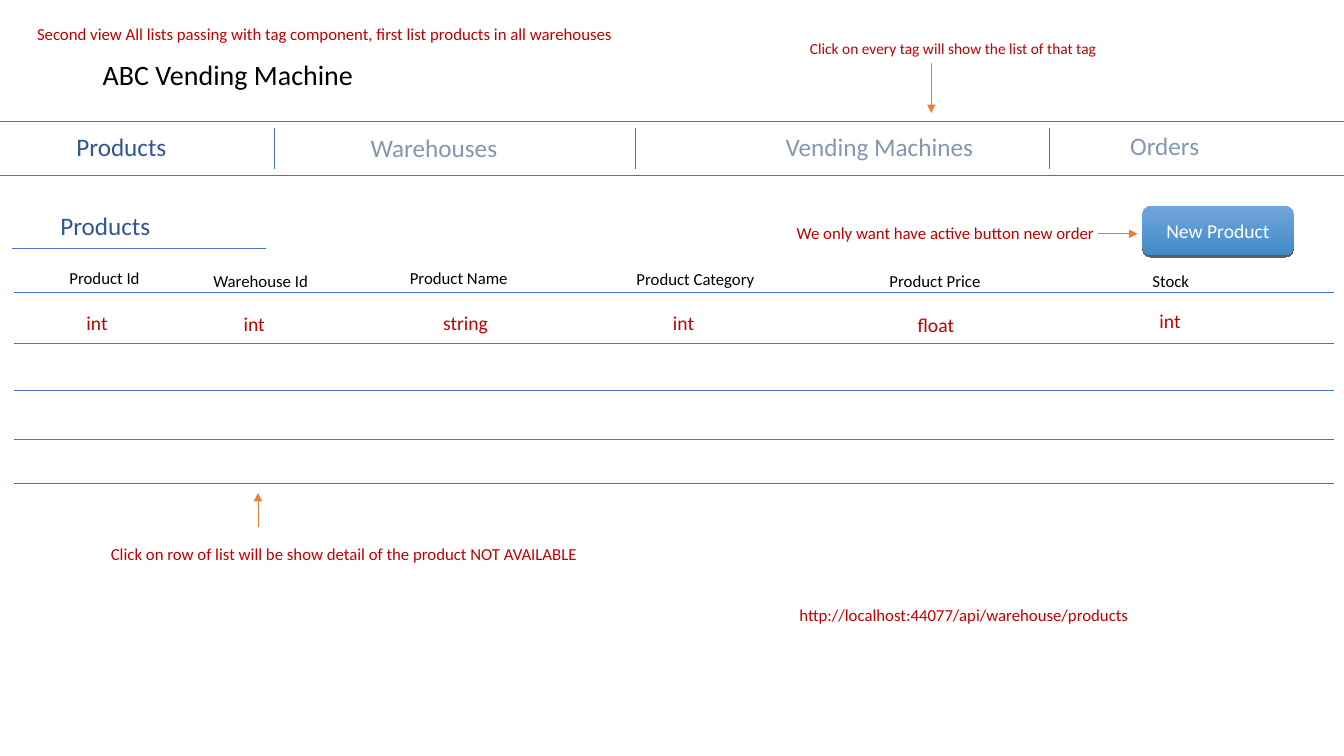
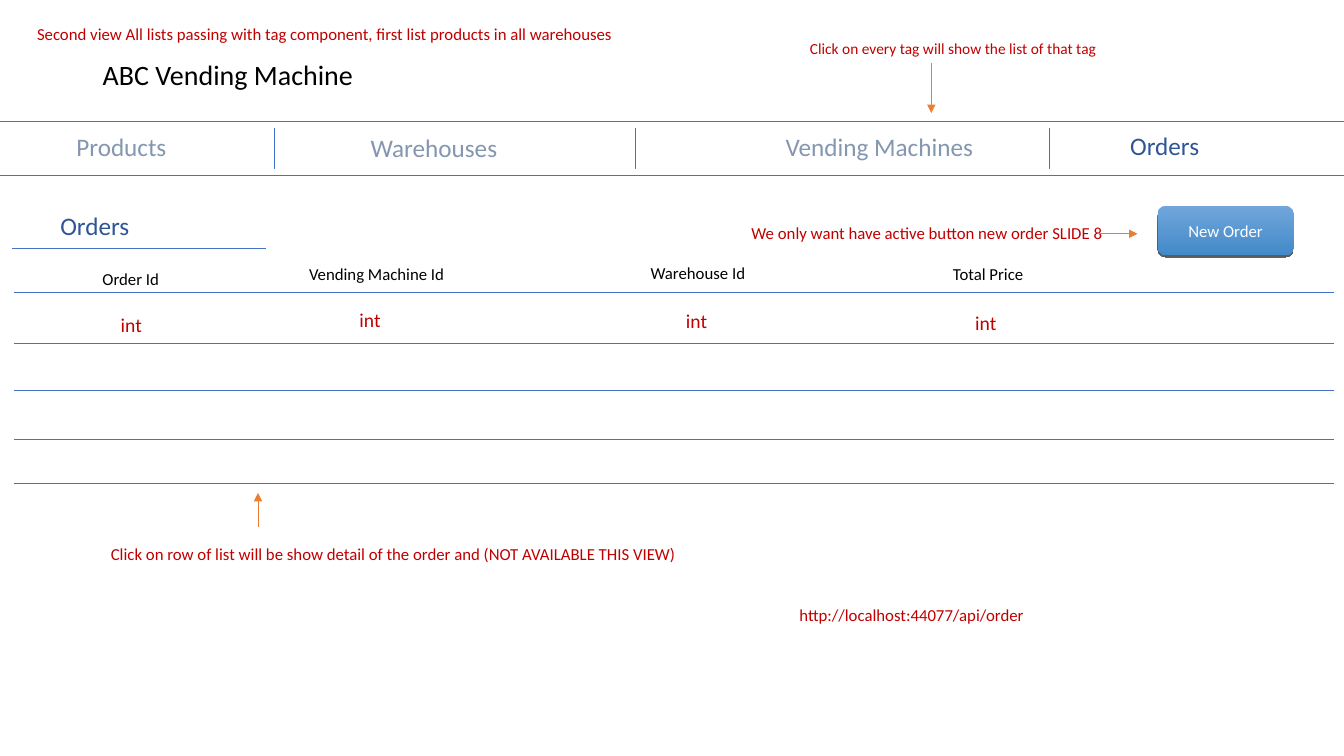
from dataclasses import dataclass

from lxml import etree
from pptx import Presentation
from pptx.dml.color import RGBColor
from pptx.enum import shapes, text
from pptx.oxml import ns
from pptx.util import Pt

BLACK = RGBColor(0x00, 0x00, 0x00)
WHITE = RGBColor(0xFF, 0xFF, 0xFF)
RULE_BLUE = RGBColor(0x44, 0x72, 0xC4)
ACTIVE_BLUE = RGBColor(0x2F, 0x55, 0x97)
INACTIVE_BLUE = RGBColor(0x84, 0x97, 0xB0)
NOTE_RED = RGBColor(0xC0, 0x00, 0x00)
ARROW_ORANGE = RGBColor(0xED, 0x7D, 0x31)
BUTTON_TOP = RGBColor(0x71, 0xA6, 0xDB)
BUTTON_BOTTOM = RGBColor(0x43, 0x8A, 0xC9)

FONT = "Calibri"
SLIDE_WIDTH, SLIDE_HEIGHT = 960.48, 540

TAGS = [
    ("Products", 47.5, 3.6, 84),
    ("Warehouses", 257.8, 4.3, 112),
    ("Vending Machines", 554.4, 3.6, 156),
    ("Orders", 800.6, 2.9, 72),
]
TAG_SEPARATORS = [195.8, 454.3, 750.2]
LIST_RULES = [24.8, 61.5, 94.6, 129.9, 161.6]


@dataclass
class Column:
    heading: str
    heading_at: tuple
    value: str
    value_at: tuple
    width: float = 108


@dataclass
class View:
    name: str
    columns: list
    button: str
    button_width: float
    button_size: float
    button_note: str
    button_note_left: float
    row_note: str
    address: str


VIEWS = [
    View(
        "Products",
        [
            Column("Product Id", (32.5, 3.9), "int", (44.7, 34.2), 90),
            Column("Warehouse Id", (135.4, 6.1), "int", (157, 34.9), 90),
            Column("Product Name", (275.8, 3.9), "string", (299.6, 34.2)),
            Column("Product Category", (437.8, 4.6), "int", (463.8, 34.2)),
            Column("Product Price", (618.6, 6.1), "float", (638.7, 35.6)),
            Column("Stock", (806.5, 6.1), "int", (811.5, 33.4), 90),
        ],
        "New Product", 108, 14,
        "We only want have active button new order", 562.3,
        "Click on row of list will be show detail of the product NOT AVAILABLE",
        "http://localhost:44077/api/warehouse/products",
    ),
    View(
        "Orders",
        [
            Column("Order Id", (56.2, 4.6), "int", (69.2, 36.3), 130),
            Column("Vending Machine Id", (203.8, 1), "int", (239.8, 32.7), 138),
            Column("Warehouse Id", (447.9, 0.3), "int", (473.1, 33.4)),
            Column("Total Price", (663.9, 1), "int", (679.8, 34.2)),
        ],
        "New Order", 97.2, 12,
        "We only want have active button new order SLIDE 8", 529.9,
        "Click on row of list will be show detail of the order and (NOT AVAILABLE THIS VIEW)",
        "http://localhost:44077/api/order",
    ),
]


def write_text(frame, content, size=12, color=NOTE_RED, align=text.PP_ALIGN.LEFT,
               anchor=text.MSO_ANCHOR.TOP, spacing=1.0):
    frame.word_wrap = True
    frame.auto_size = text.MSO_AUTO_SIZE.NONE
    frame.vertical_anchor = anchor
    paragraph = frame.paragraphs[0]
    paragraph.alignment = align
    paragraph.line_spacing = spacing
    run = paragraph.add_run()
    run.text = content
    run.font.name = FONT
    run.font.size = Pt(size)
    run.font.color.rgb = color


def add_label(slide, content, left, top, width, size=12, color=NOTE_RED):
    height = size * 1.2 + 7.2
    box = slide.shapes.add_textbox(Pt(left), Pt(top), Pt(width), Pt(height))
    write_text(box.text_frame, content, size=size, color=color)


def add_line(slide, start, end, color=RULE_BLUE, arrow=False):
    line = slide.shapes.add_connector(
        shapes.MSO_CONNECTOR.STRAIGHT, *(Pt(value) for value in (*start, *end)))
    line.line.color.rgb = color
    line.line.width = Pt(0.5)
    if arrow:
        etree.SubElement(line.line._get_or_add_ln(), ns.qn("a:tailEnd"), type="triangle")
    etree.SubElement(line._element.spPr, ns.qn("a:effectLst"))


def add_arrow(slide, start, end):
    add_line(slide, start, end, color=ARROW_ORANGE, arrow=True)


def add_header(slide, left, top):
    title = slide.shapes.title
    title.left, title.top = Pt(left + 46.8), Pt(top + 15.1)
    title.width, title.height = Pt(205.2), Pt(51.8)
    write_text(title.text_frame, "ABC Vending Machine", size=20, color=BLACK,
               anchor=text.MSO_ANCHOR.MIDDLE, spacing=0.9)
    add_label(
        slide,
        "Second view All lists passing with tag component, first list products in all warehouses",
        left, top, 525.6)
    add_label(slide, "Click on every tag will show the list of that tag",
              left + 552.3, top + 10.8, 226, size=11)
    add_arrow(slide, (left + 646.2, top + 31), (left + 646.2, top + 67))


def add_tag_bar(slide, left, top, width, height, active):
    for y in (top, top + height):
        add_line(slide, (left, y), (left + width, y))
    for x in TAG_SEPARATORS:
        add_line(slide, (left + x, top + 5), (left + x, top + height - 4.3))
    for name, x, y, tag_width in TAGS:
        color = ACTIVE_BLUE if name == active else INACTIVE_BLUE
        add_label(slide, name, left + x, top + y, tag_width, size=18, color=color)


def add_section_heading(slide, name, left, top, width):
    add_label(slide, name, left + 27.4, top, 84, size=18, color=ACTIVE_BLUE)
    add_line(slide, (left, top + 30.2), (left + width, top + 30.2))


def add_button(slide, caption, left, top, width, height, size):
    button = slide.shapes.add_shape(
        shapes.MSO_SHAPE.ROUNDED_RECTANGLE, Pt(left), Pt(top), Pt(width), Pt(height))
    button.fill.gradient()
    button.fill.gradient_angle = 270
    for stop, color in zip(button.fill.gradient_stops, (BUTTON_TOP, BUTTON_BOTTOM)):
        stop.color.rgb = color
    button.line.fill.background()
    button.shadow.inherit = False
    effects = button._element.spPr.find(ns.qn("a:effectLst"))
    shadow = etree.SubElement(effects, ns.qn("a:outerShdw"), blurRad="0",
                              dist=str(Pt(1.5)), dir="5400000", rotWithShape="0")
    shade = etree.SubElement(shadow, ns.qn("a:srgbClr"), val=str(BLACK))
    etree.SubElement(shade, ns.qn("a:alpha"), val="63000")
    write_text(button.text_frame, caption, size=size, color=WHITE,
               align=text.PP_ALIGN.CENTER, anchor=text.MSO_ANCHOR.MIDDLE)


def add_action(slide, view, right, top):
    add_button(slide, view.button, right - view.button_width, top,
               view.button_width, 35.3, view.button_size)
    add_label(slide, view.button_note, view.button_note_left, top + 8.6, 270)
    add_arrow(slide, (right - 139.7, top + 20.1), (right - 111.6, top + 20.1))


def add_list(slide, columns, left, top, width):
    for y in LIST_RULES:
        add_line(slide, (left, top + y), (left + width, top + y))
    for column in columns:
        x, y = column.heading_at
        add_label(slide, column.heading, left + x, top + y, column.width, color=BLACK)
        x, y = column.value_at
        add_label(slide, column.value, left + x, top + y, 66, size=14)


def add_footnotes(slide, view, left, top):
    add_arrow(slide, (left + 112.3, top + 24.5), (left + 112.3, top))
    add_label(slide, view.row_note, left, top + 33.1, 430)
    add_label(slide, view.address, left + 492.1, top + 76.3, 256)


def add_view(presentation, view):
    slide = presentation.slides.add_slide(presentation.slide_layouts[5])
    add_header(slide, 19.4, 13.7)
    add_tag_bar(slide, 0, 86.4, SLIDE_WIDTH, 38.9, view.name)
    add_section_heading(slide, view.name, 8.6, 146.9, 181.4)
    add_action(slide, view, 924.5, 146.9)
    add_list(slide, view.columns, 10, 184, 943.2)
    add_footnotes(slide, view, 72.1, 352.1)


def main():
    presentation = Presentation()
    presentation.slide_width = Pt(SLIDE_WIDTH)
    presentation.slide_height = Pt(SLIDE_HEIGHT)
    for view in VIEWS:
        add_view(presentation, view)
    presentation.save("out.pptx")


if __name__ == "__main__":
    main()
